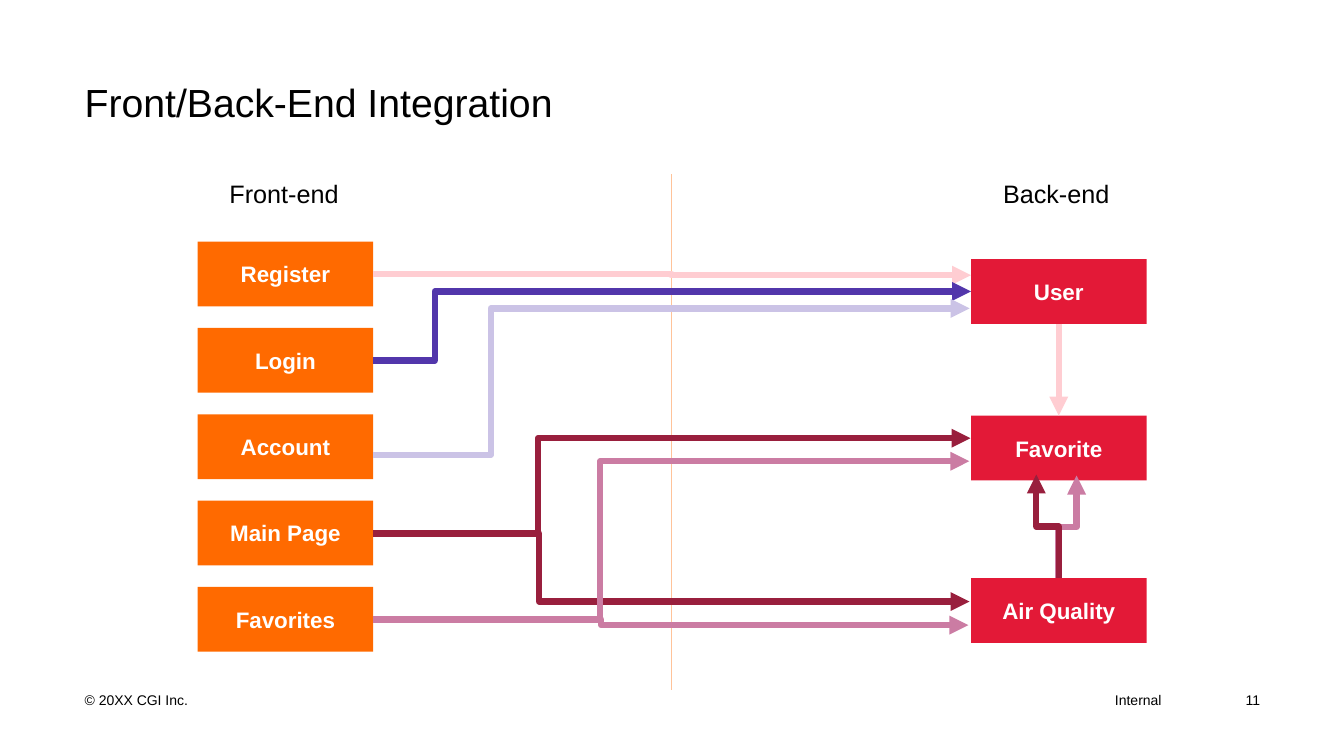
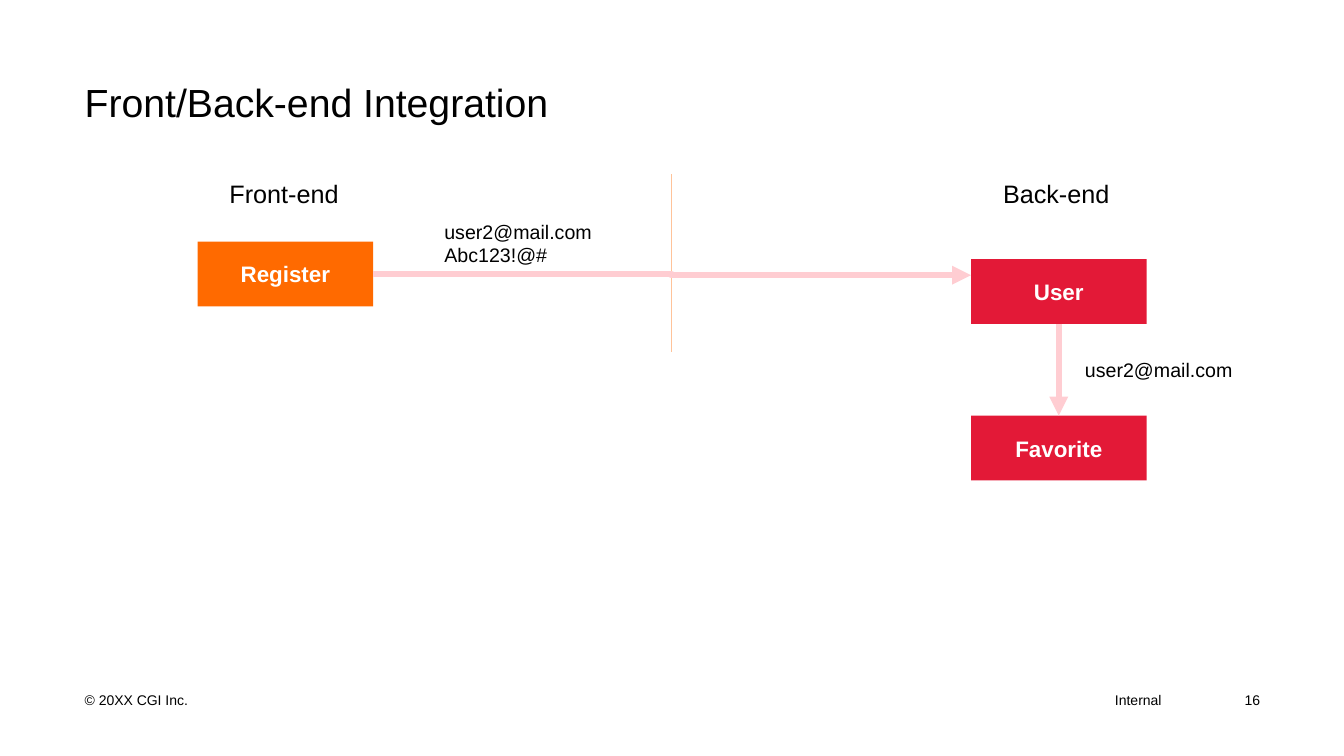
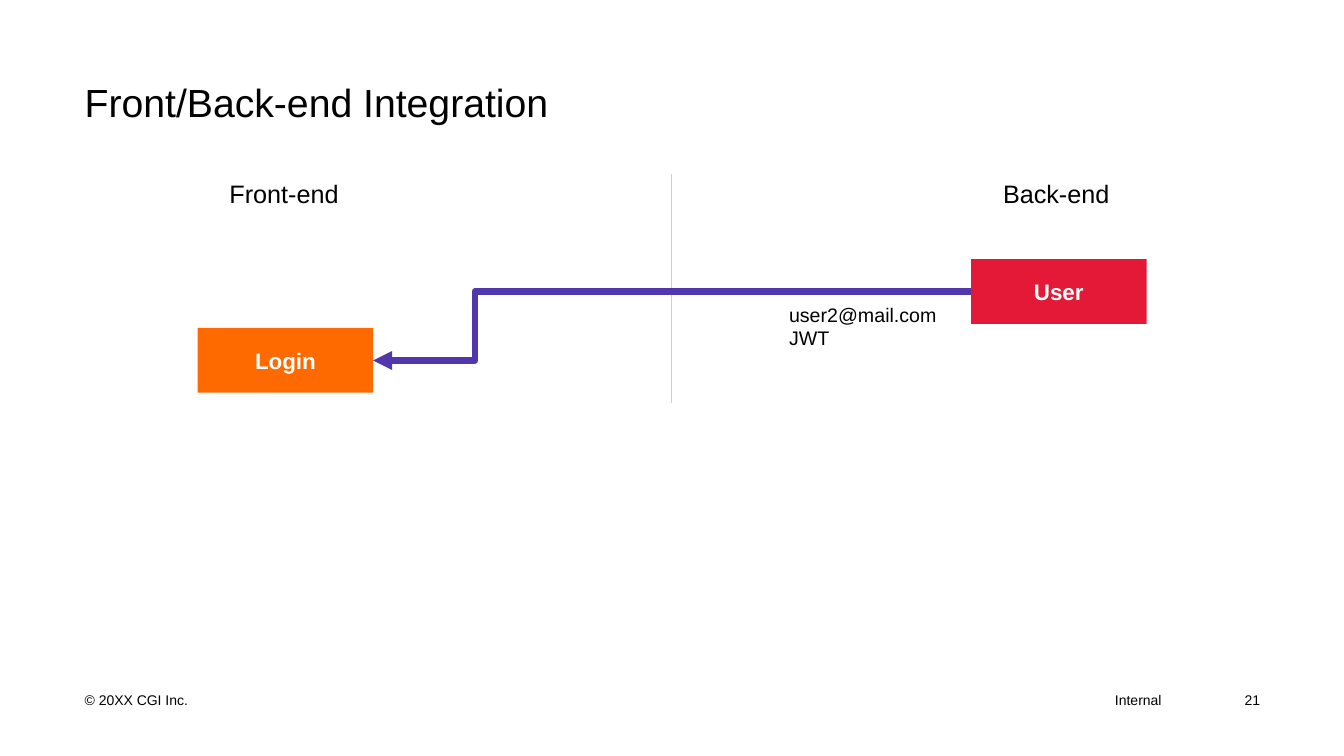
from dataclasses import dataclass

from lxml import etree
from pptx import Presentation
from pptx.dml.color import RGBColor
from pptx.enum import shapes as kind, text as typ
from pptx.oxml import ns
from pptx.util import Pt


@dataclass(frozen=True)
class Theme:
    font: str = "Arial"
    ink: str = "000000"
    white: str = "FFFFFF"
    front: str = "FF6A00"
    back: str = "E31937"
    rule: str = "FFC399"
    pink: str = "FFCDD2"
    violet: str = "5236AB"
    lilac: str = "CBC3E6"
    mauve: str = "CB7CA3"
    wine: str = "991F3D"
    title: int = 28
    head: int = 18
    label: int = 16
    note: int = 14
    foot: int = 10
    thin: float = 1
    thick: float = 4.5


T = Theme()
ALIGN = typ.PP_ALIGN
MID = typ.MSO_ANCHOR.MIDDLE

# Grid, in points
BOX_W, BOX_H = 125.4, 46.3
LEFT, RIGHT = 141.2, 693.6
EDGE = LEFT + BOX_W
PAGES = ["Register", "Login", "Account", "Main Page", "Favorites"]
FRONT = {name: 172.6 + 61.65 * i for i, name in enumerate(PAGES)}
BACK = {"User": 185.1, "Favorite": 296.9, "Air Quality": 413}
MID_X = 479.5
RULE_TOP = 124.6


def rgb(code):
    return RGBColor.from_string(code)


# Text
def write(frame, lines, size, color=T.ink, align=ALIGN.LEFT, bold=False):
    frame.margin_left = frame.margin_right = 0
    frame.margin_top = frame.margin_bottom = 0
    frame.word_wrap = True
    frame.vertical_anchor = MID
    for i, line in enumerate(lines):
        para = frame.add_paragraph() if i else frame.paragraphs[0]
        para.alignment = align
        run = para.add_run()
        run.text = line
        run.font.name = T.font
        run.font.size = Pt(size)
        run.font.bold = bold
        run.font.color.rgb = rgb(color)


def label(slide, at, lines, size, align=ALIGN.LEFT):
    box = slide.shapes.add_textbox(*map(Pt, at))
    write(box.text_frame, lines, size, align=align)


def note(slide, x, y, *lines):
    label(slide, (x, y, 124.6, 44.6), lines, T.note)


# Boxes
def block(slide, name, x, y, fill):
    box = slide.shapes.add_shape(
        kind.MSO_SHAPE.RECTANGLE, Pt(x), Pt(y), Pt(BOX_W), Pt(BOX_H))
    box.shadow.inherit = False
    box.fill.solid()
    box.fill.fore_color.rgb = rgb(fill)
    box.line.fill.background()
    write(box.text_frame, [name], T.label, T.white, ALIGN.CENTER, True)
    return box


def blocks(slide, fronts, backs):
    for name in fronts:
        block(slide, name, LEFT, FRONT[name], T.front)
    return {name: block(slide, name, RIGHT, BACK[name], T.back)
            for name in backs}


# Lines
def link(slide, form, start, end, color, width, arrow=True):
    line = slide.shapes.add_connector(form, *map(Pt, (*start, *end)))
    line.line.color.rgb = rgb(color)
    line.line.width = Pt(width)
    if arrow:
        tail = etree.SubElement(line.line._get_or_add_ln(), ns.qn("a:tailEnd"))
        tail.set("type", "triangle")
    etree.SubElement(line._element.spPr, ns.qn("a:effectLst"))
    return line


def elbow(slide, color, start, end, ratio=0.5):
    line = link(slide, kind.MSO_CONNECTOR.ELBOW, start, end, color, T.thick)
    guides = line._element.spPr.find(ns.qn("a:prstGeom")).get_or_add_avLst()
    guide = etree.SubElement(guides, ns.qn("a:gd"))
    guide.set("name", "adj1")
    guide.set("fmla", f"val {round(ratio * 100000)}")
    return line


def across(slide, color, start, end, turn):
    """Sideways elbow that turns at x = turn."""
    elbow(slide, color, start, end, (turn - start[0]) / (end[0] - start[0]))


def rise(slide, color, start, end):
    """Upward elbow: a sideways one turned a quarter to the left."""
    (x1, y1), (x2, y2) = start, end
    cx, cy = (x1 + x2) / 2, (y1 + y2) / 2
    half, side = (y1 - y2) / 2, (x2 - x1) / 2
    line = elbow(slide, color, (cx - half, cy - side), (cx + half, cy + side))
    line._element.spPr.find(ns.qn("a:xfrm")).set("rot", str(270 * 60000))


def signup(slide, backs):
    """Register to User, then User to Favorite."""
    down = link(slide, kind.MSO_CONNECTOR.STRAIGHT, (756, 231), (756, 297),
                T.pink, T.thick)
    down.begin_connect(backs["User"], 2)
    down.end_connect(backs["Favorite"], 0)
    across(slide, T.pink, (EDGE, 195.7), (RIGHT, 196.6), MID_X)


# Frame that every slide shares
def setup(deck):
    deck.slide_width, deck.slide_height = Pt(960), Pt(540)
    layout = deck.slide_layouts[5]
    title = layout.placeholders[0]
    title.left, title.top = Pt(60.5), Pt(54)
    title.width, title.height = Pt(841), Pt(41.8)
    return layout


def start(deck, layout, title, number, bottom):
    slide = deck.slides.add_slide(layout)
    frame = slide.shapes.title.text_frame
    write(frame, [title], T.title)
    frame.auto_size = typ.MSO_AUTO_SIZE.NONE
    frame.paragraphs[0].line_spacing = 0.9
    for x, w, words, align in (
            (60.5, 151, "© 20XX CGI Inc.", ALIGN.LEFT),
            (700.6, 129, "Internal", ALIGN.RIGHT),
            (879, 21, str(number), ALIGN.RIGHT)):
        label(slide, (x, 493.2, w, 13.7), [words], T.foot, align)
    link(slide, kind.MSO_CONNECTOR.STRAIGHT, (MID_X, RULE_TOP),
         (MID_X, bottom), T.rule, T.thin, False)
    for mid, words in ((202.9, "Front-end"), (754.5, "Back-end")):
        label(slide, (mid - 49, 122, 98, 32), [words], T.head, ALIGN.CENTER)
    return slide


# Slides
def overview(deck, layout):
    slide = start(deck, layout, "Front/Back-End Integration", 11, 493.2)
    backs = blocks(slide, FRONT, BACK)
    signup(slide, backs)
    main, favs = (EDGE, 381), (EDGE, 442.6)
    for color, begin, end, turn in (
            (T.violet, (EDGE, 257.5), (RIGHT, 208.2), 310.7),
            (T.lilac, (EDGE, 325), (692.6, 220.3), 350.4),
            (T.mauve, favs, (691.7, 446.5), 429.4),
            (T.wine, main, (692.6, 429.7), 385),
            (T.wine, main, (693.2, 313), 384.4),
            (T.mauve, favs, (692.4, 329.5), 428.8)):
        across(slide, color, begin, end, turn)
    top = (756.2, BACK["Air Quality"])
    rise(slide, T.mauve, top, (769, 339.7))
    rise(slide, T.wine, top, (740.2, 339))


def register(deck, layout):
    slide = start(deck, layout, "Front/Back-end Integration", 16, 251.3)
    signup(slide, blocks(slide, ["Register"], ["User", "Favorite"]))
    note(slide, 775, 242, "user2@mail.com")
    note(slide, 317.4, 151.5, "user2@mail.com", "Abc123!@#")


def login(deck, layout):
    slide = start(deck, layout, "Front/Back-end Integration", 21, 288)
    blocks(slide, ["Login"], ["User"])
    across(slide, T.violet, (RIGHT, 208.2), (EDGE, 257.5), 339.2)
    note(slide, 563.6, 210.5, "user2@mail.com", "JWT")


def main():
    deck = Presentation()
    layout = setup(deck)
    for build in (overview, register, login):
        build(deck, layout)
    deck.save("out.pptx")


if __name__ == "__main__":
    main()
